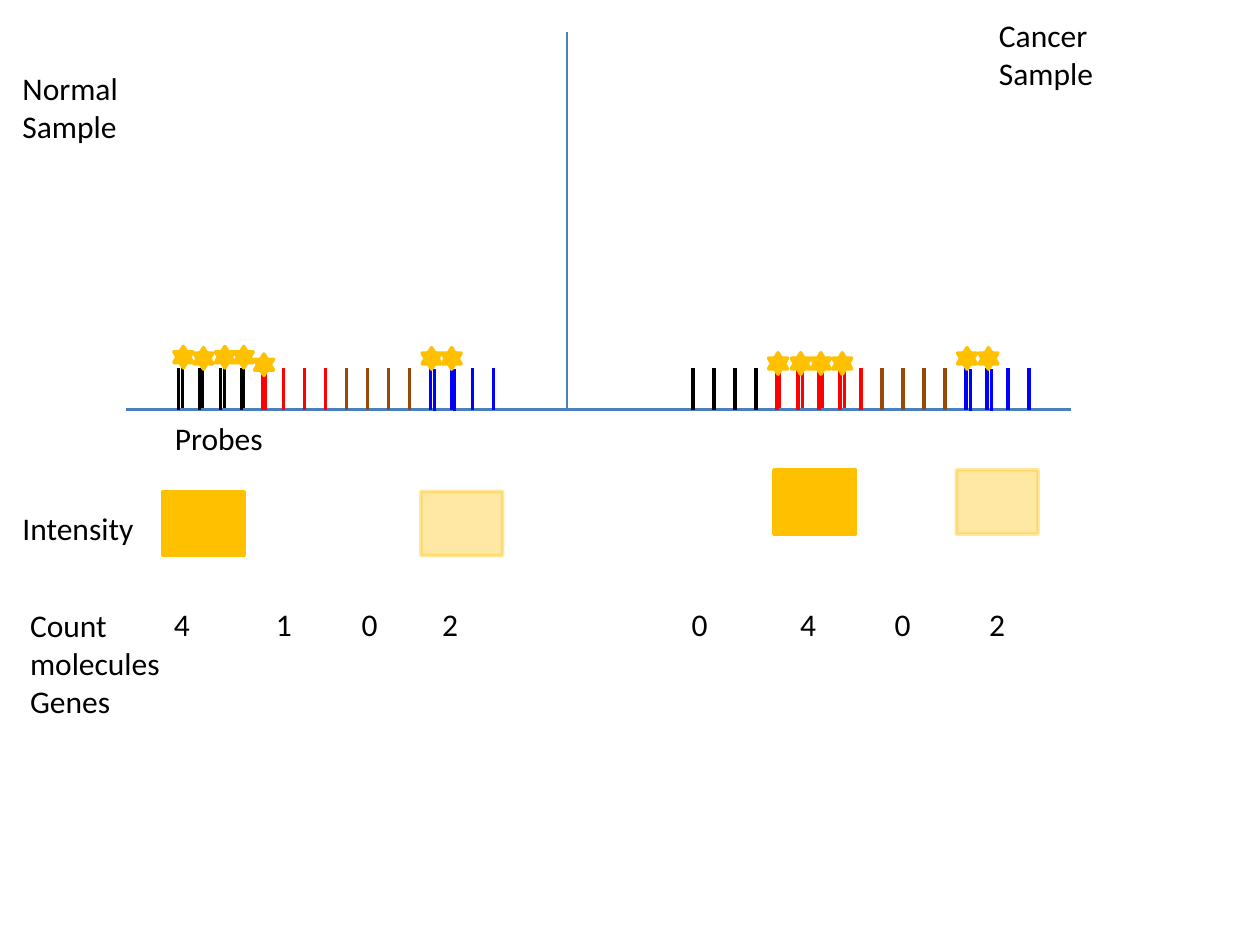
from lxml import etree
from pptx import Presentation
from pptx.dml.color import RGBColor
from pptx.enum.shapes import MSO_CONNECTOR, MSO_SHAPE
from pptx.enum.text import MSO_AUTO_SIZE
from pptx.oxml.ns import qn
from pptx.util import Inches, Pt

STRAIGHT = MSO_CONNECTOR.STRAIGHT
RECTANGLE, STAR = MSO_SHAPE.RECTANGLE, MSO_SHAPE.STAR_6_POINT
GROW = MSO_AUTO_SIZE.SHAPE_TO_FIT_TEXT

# Content
BLACK, RED, BROWN, BLUE = "000000", "FF0000", "984807", "0000FF"
AXIS_BLUE, GOLD = "4B7EBC", "FFC000"

AXES = [  # x1, y1, x2, y2, width
    (1, 3.25, 8.5, 3.25, 1.75),
    (4.5, 0.25, 4.5, 3.25, 0.75),
]
PROBE_PITCH, PROBE_TOP, PROBE_LENGTH = 1 / 6, 2.92, 0.33
PROBES = [  # first x, (colour, number of probes) per gene
    (1.42, [(BLACK, 4), (RED, 4), (BROWN, 4), (BLUE, 4)]),
    (5.5, [(BLACK, 4), (RED, 5), (BROWN, 4), (BLUE, 4)]),
]
STAR_SIZE = (0.15, 0.17)
MOLECULES = [  # colour, strand top, star offset from strand, [(strand x, star top)]
    (RED, 2.92, -0.09, [(2.11, 2.81)]),
    (BLACK, 2.91, -0.07, [(1.45, 2.75), (1.61, 2.76), (1.78, 2.75), (1.93, 2.75)]),
    (BLUE, 2.93, -0.1, [(x, 2.76) for x in (3.45, 3.61, 7.7, 7.87)]),
    (RED, 2.91, -0.09, [(x, 2.8) for x in (6.19, 6.37, 6.53, 6.7)]),
]
INTENSITY_SIZE = (0.65, 0.51)
INTENSITIES = [  # left, top, opacity in percent
    (1.29, 3.9, 100),
    (3.34, 3.9, 36),
    (6.14, 3.73, 100),
    (7.59, 3.73, 36),
]
LABELS = [  # text, left, top, width, height; \v breaks a line
    ("Probes", 1.29, 3.28, 3.33, 0.4),
    ("Normal\vSample", 0.08, 0.5, 1.08, 0.71),
    ("Cancer\vSample", 7.83, 0.08, 1.08, 0.71),
    ("Intensity", 0.08, 3.99, 1.11, 0.4),
    ("Count\vmolecules\nGenes", 0.14, 4.76, 1.28, 1.01),
]
COUNTS_BOX = (1.17, 4.75, 7.33, 0.4)
COUNTS = [  # count, x
    ("4", 1.38), ("1", 2.19), ("0", 2.87), ("2", 3.51),
    ("0", 5.49), ("4", 6.35), ("0", 7.1), ("2", 7.85),
]


def rgb(colour):
    return RGBColor.from_string(colour)


def add_line(shapes, x1, y1, x2, y2, colour, width=1.75):
    line = shapes.add_connector(STRAIGHT, *map(Inches, (x1, y1, x2, y2)))
    line.line.color.rgb = rgb(colour)
    line.line.width = Pt(width)
    etree.SubElement(line._element.spPr, qn("a:effectLst"))


def add_gold_shape(shapes, kind, left, top, size, opacity=100):
    shape = shapes.add_shape(kind, *map(Inches, (left, top, *size)))
    shape.shadow.inherit = False
    shape.fill.solid()
    shape.fill.fore_color.rgb = rgb(GOLD)
    shape.line.color.rgb = rgb(GOLD)
    shape.line.width = Pt(2)
    if opacity < 100:
        for colour in shape._element.spPr.iter(qn("a:srgbClr")):
            etree.SubElement(colour, qn("a:alpha"), val=str(opacity * 1000))


def add_text(shapes, text, *box):
    frame = shapes.add_textbox(*map(Inches, box)).text_frame
    frame.word_wrap = True
    frame.auto_size = GROW
    frame.text = text
    for paragraph in frame.paragraphs:
        for run in paragraph.runs:
            for name, value in {"size": Pt(18), "name": "Calibri"}.items():
                setattr(run.font, name, value)
            run.font.color.rgb = rgb(BLACK)
    return frame


def add_counts(shapes):
    frame = add_text(shapes, "\t".join(count for count, _ in COUNTS), *COUNTS_BOX)
    start = COUNTS[0][1]
    frame.margin_left = Inches(start - COUNTS_BOX[0])
    tabs = etree.SubElement(frame.paragraphs[0]._p.get_or_add_pPr(), qn("a:tabLst"))
    for _, x in COUNTS[1:]:
        etree.SubElement(tabs, qn("a:tab"), pos=str(Inches(x - start)), algn="l")


def main():
    prs = Presentation()
    prs.slide_width, prs.slide_height = Inches(10), Inches(7.5)
    shapes = prs.slides.add_slide(prs.slide_layouts[6]).shapes

    # Array surface and divider between samples
    for x1, y1, x2, y2, width in AXES:
        add_line(shapes, x1, y1, x2, y2, AXIS_BLUE, width)

    # Probes, evenly spaced and coloured by gene
    for first_x, genes in PROBES:
        colours = [colour for colour, number in genes for _ in range(number)]
        for i, colour in enumerate(colours):
            x = first_x + i * PROBE_PITCH
            add_line(shapes, x, PROBE_TOP, x, PROBE_TOP + PROBE_LENGTH, colour)

    # Labels, intensities and counts
    for label in LABELS:
        add_text(shapes, *label)
    for left, top, opacity in INTENSITIES:
        add_gold_shape(shapes, RECTANGLE, left, top, INTENSITY_SIZE, opacity)
    add_counts(shapes)

    # Bound molecules, each a strand with a fluorescent star
    for colour, strand_top, star_offset, places in MOLECULES:
        for x, star_top in places:
            molecule = shapes.add_group_shape().shapes
            add_line(molecule, x, strand_top, x, strand_top + PROBE_LENGTH, colour)
            add_gold_shape(molecule, STAR, x + star_offset, star_top, STAR_SIZE)

    prs.save("out.pptx")


if __name__ == "__main__":
    main()
